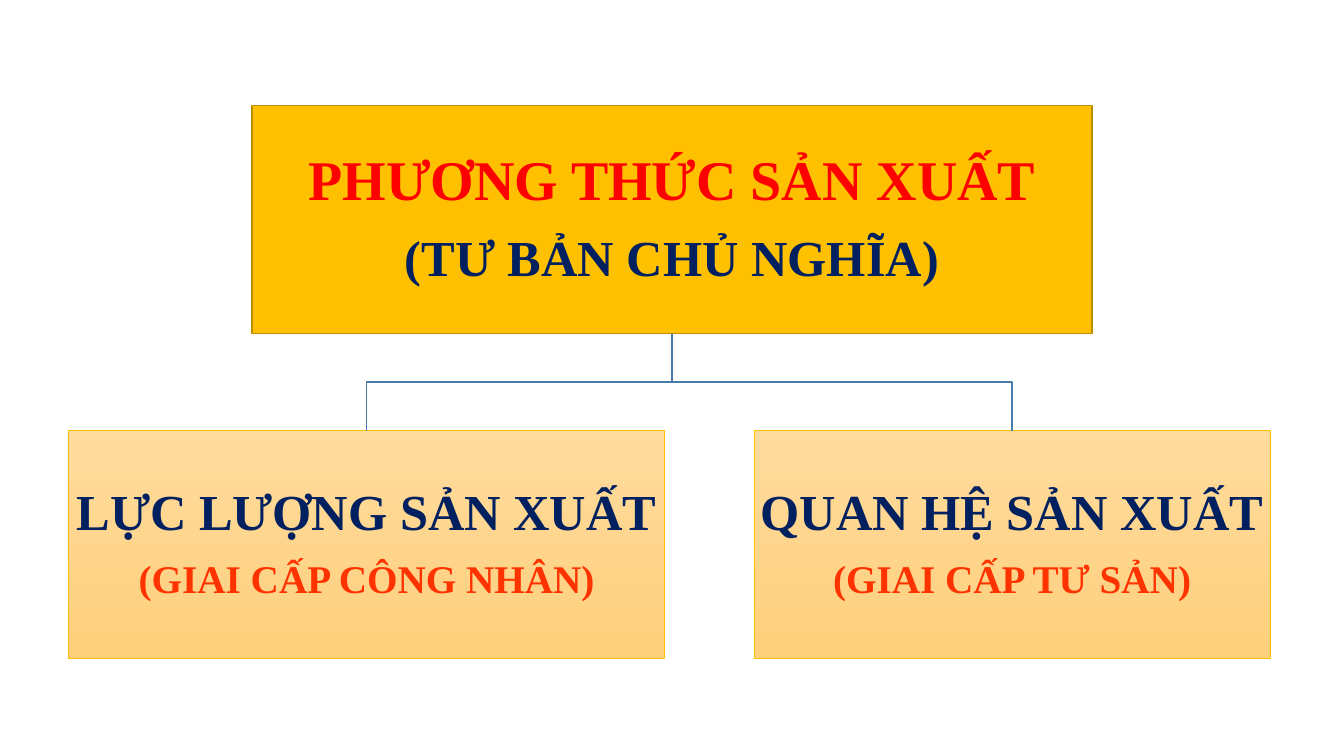
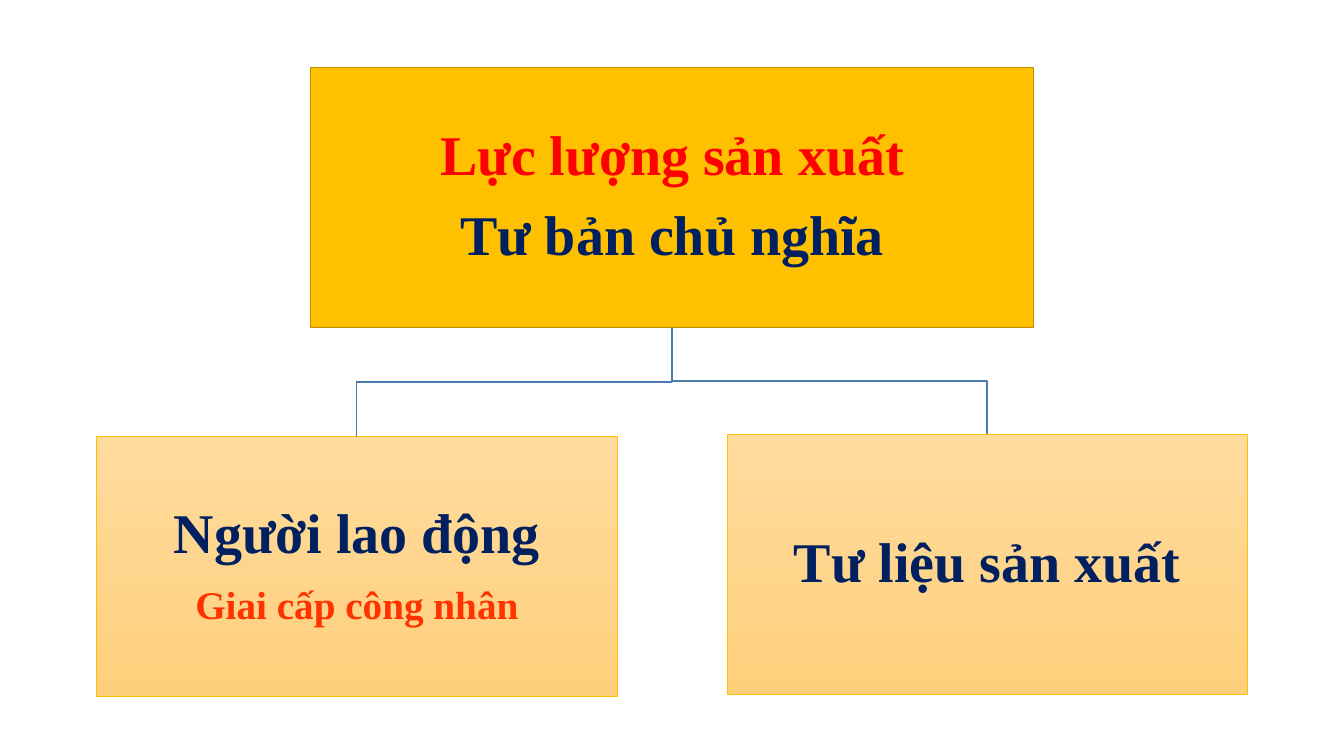
import pptx
import pptx.dml.color
import pptx.enum.shapes
import pptx.enum.text
import pptx.util
from lxml import etree
from pptx.oxml.ns import qn

FONT = "Times New Roman"
RED, NAVY, ORANGE = "FF0000", "002060", "FF3300"
GOLD, GOLD_EDGE, LINK = "FFC000", "BD8E00", "497CAB"
SAND = ("FFDB9E", "FFD07C")


def rgb(value):
    return pptx.dml.color.RGBColor.from_string(value)


class Deck:
    """Draws tree charts, with lengths given in percent of the slide's size."""

    def __init__(self):
        self.prs = pptx.Presentation()
        self.prs.slide_width = pptx.util.Inches(13.33)
        self.prs.slide_height = pptx.util.Inches(7.5)
        self.slide = None

    def add_slide(self):
        self.slide = self.prs.slides.add_slide(self.prs.slide_layouts[6])

    def x(self, share):
        return round(self.prs.slide_width * share / 100)

    def y(self, share):
        return round(self.prs.slide_height * share / 100)

    def box(self, left, top, width, height, lines):
        sp = self.slide.shapes.add_shape(
            pptx.enum.shapes.MSO_SHAPE.RECTANGLE,
            self.x(left), self.y(top), self.x(width), self.y(height))
        sp.shadow.inherit = False
        tf = sp.text_frame
        tf.word_wrap = True
        tf.vertical_anchor = pptx.enum.text.MSO_ANCHOR.MIDDLE
        tf.margin_left = tf.margin_right = pptx.util.Inches(0.03)
        tf.margin_top = tf.margin_bottom = pptx.util.Inches(0.03)
        for i, line in enumerate(lines):
            p = tf.add_paragraph() if i else tf.paragraphs[0]
            self.line(p, *line)
        return sp

    def line(self, p, text, size, color):
        p.alignment = pptx.enum.text.PP_ALIGN.CENTER
        p.line_spacing = 0.9
        after = etree.SubElement(p._p.get_or_add_pPr(), qn("a:spcAft"))
        etree.SubElement(after, qn("a:spcPct")).set("val", "35000")
        r = p.add_run()
        r.text = text
        r.font.name = FONT
        r.font.size = pptx.util.Pt(size)
        r.font.bold = True
        r.font.color.rgb = rgb(color)

    def stroke(self, sp, color, width):
        sp.line.color.rgb = rgb(color)
        sp.line.width = pptx.util.Pt(width)

    def root(self, top, width, height, lines):
        sp = self.box((100 - width) / 2, top, width, height, lines)
        sp.fill.solid()
        sp.fill.fore_color.rgb = rgb(GOLD)
        self.stroke(sp, GOLD_EDGE, 1)
        return sp

    def child(self, left, top, width, height, lines):
        sp = self.box(left, top, width, height, lines)
        sp.fill.gradient()
        sp.fill.gradient_angle = 270
        for stop, color in zip(sp.fill.gradient_stops, SAND):
            stop.color.rgb = rgb(color)
        self.stroke(sp, GOLD, 0.5)
        return sp

    def link(self, parent, child):
        x1, y1 = parent.left + parent.width // 2, parent.top + parent.height
        x2, y2 = child.left + child.width // 2, child.top
        mid = (y1 + y2) // 2
        builder = self.slide.shapes.build_freeform(x1, y1)
        builder.add_line_segments([(x1, mid), (x2, mid), (x2, y2)], close=False)
        sp = builder.convert_to_shape()
        sp.shadow.inherit = False
        sp.fill.background()
        self.stroke(sp, LINK, 1)

    def tree(self, height, root, children):
        self.add_slide()
        top, width, lines = root
        parent = self.root(top, width, height, lines)
        for left, top, width, lines in children:
            self.link(parent, self.child(left, top, width, height, lines))


def main():
    deck = Deck()
    deck.tree(
        30.15,
        (14, 62.5, [("PHƯƠNG THỨC SẢN XUẤT", 40, RED),
                    ("(TƯ BẢN CHỦ NGHĨA)", 36, NAVY)]),
        [(5.1, 56.95, 44.35, [("LỰC LƯỢNG SẢN XUẤT", 36, NAVY),
                              ("(GIAI CẤP CÔNG NHÂN)", 28, ORANGE)]),
         (56.1, 56.95, 38.4, [("QUAN HỆ SẢN XUẤT", 36, NAVY),
                              ("(GIAI CẤP TƯ SẢN)", 28, ORANGE)])])
    deck.tree(
        34.4,
        (8.95, 53.8, [("Lực lượng sản xuất", 40, RED),
                      ("Tư bản chủ nghĩa", 40, NAVY)]),
        [(7.2, 57.75, 38.7, [("Người lao động", 40, NAVY),
                             ("Giai cấp công nhân", 28, ORANGE)]),
         (54.1, 57.45, 38.7, [("Tư liệu sản xuất", 40, NAVY)])])
    deck.prs.save("out.pptx")


if __name__ == "__main__":
    main()
